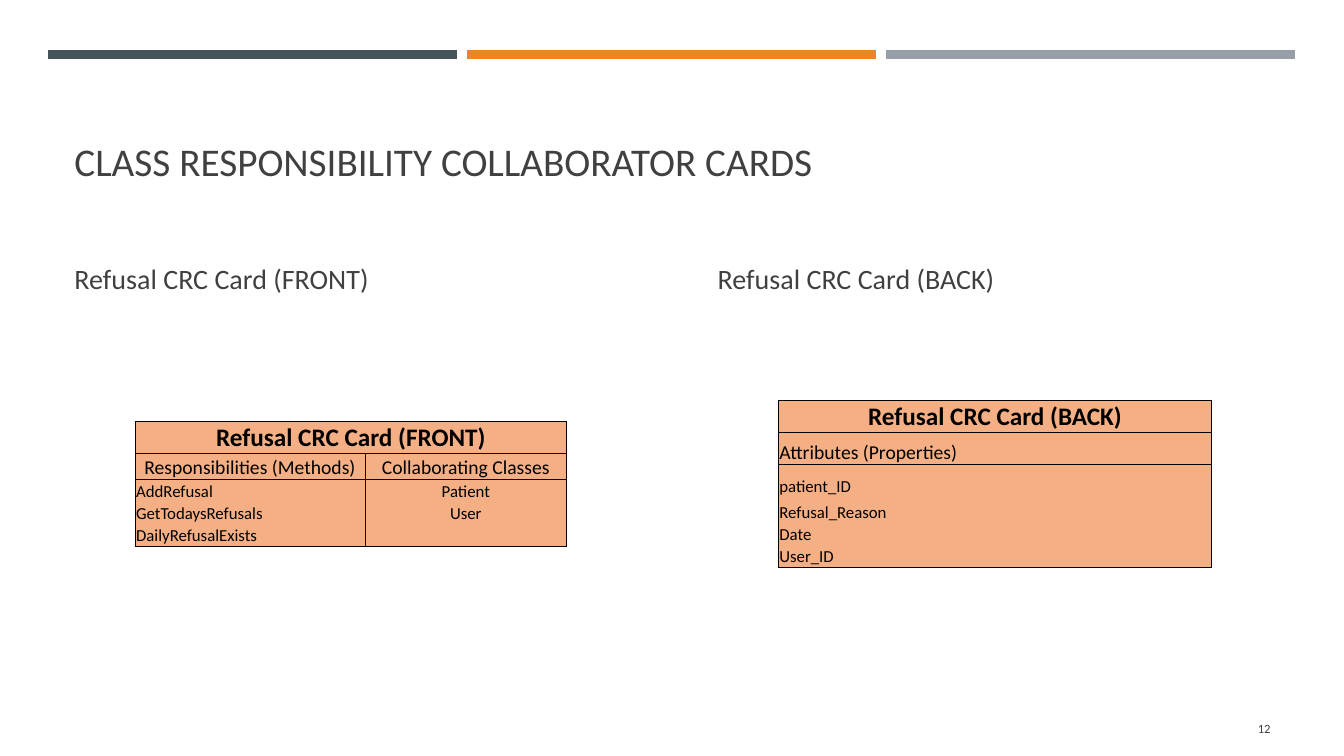
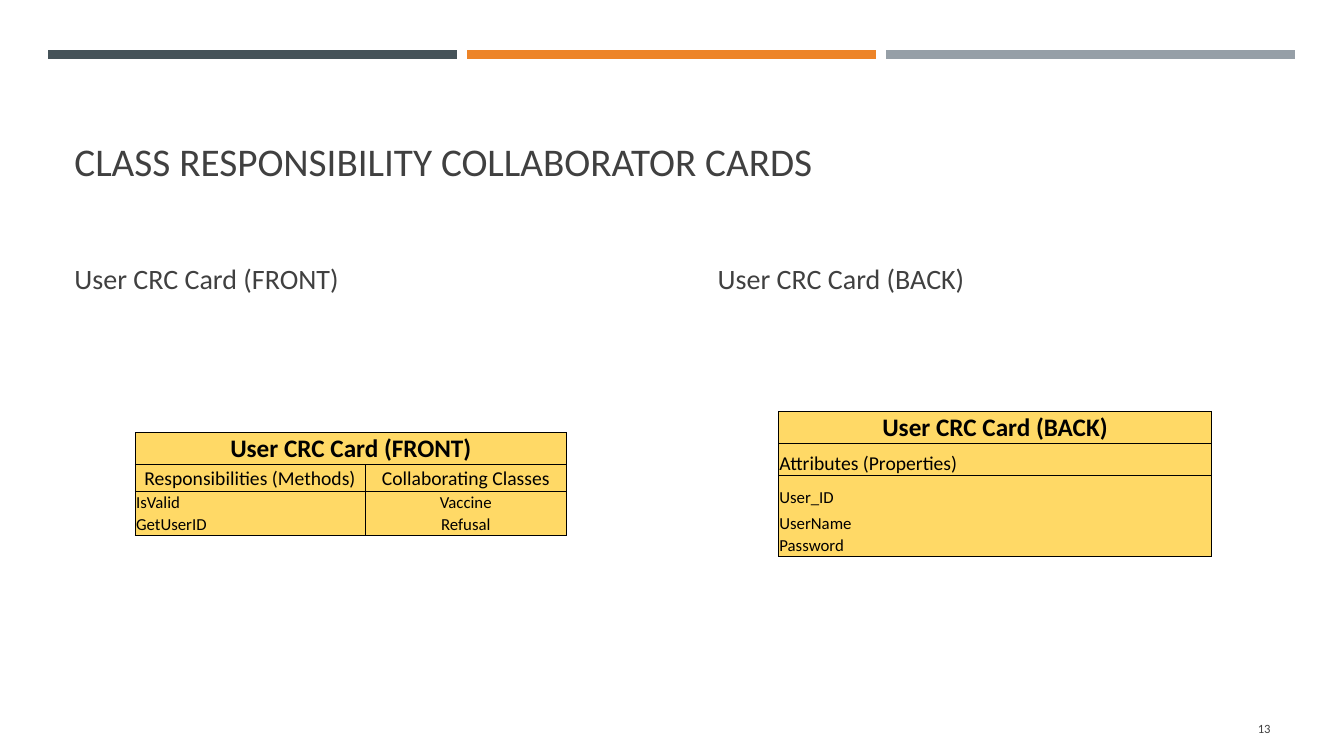
"""Build two slides of class responsibility collaborator cards."""
from lxml import etree
from pptx import Presentation, util as u
from pptx.dml.color import RGBColor
from pptx.enum import shapes, text
from pptx.oxml.ns import qn

COLORS = {
    "slate": "465359", "orange": "ED8428", "gray": "969FA7",
    "text": "404040", "black": "000000",
    "refusal": "F4B084", "user": "FFD966",
}
FONT = "Calibri"
TITLE = "CLASS RESPONSIBILITY COLLABORATOR CARDS"
LEFT, COLUMN_STEP = 0.64, 6.38
TABLE_INDENT, TABLE_MIDDLE = 0.7, 4.8
FRONT_COLS = [2.28, 2]
BACK_COLS = [0.67, 0.67, 0.95, 0.67, 0.67, 0.67]
FRONT_HEADS = [0.32, 0.26]
BACK_HEADS = [0.32, 0.32, 0.32, 0.26]
ROW_HEIGHT = 0.22

CARDS = [
    {"name": "Refusal", "fill": "refusal", "number": 12,
     "methods": [["AddRefusal", "Patient"], ["GetTodaysRefusals", "User"],
                 ["DailyRefusalExists", ""]],
     "attributes": [("patient_ID", 2), ("Refusal_Reason", 2), ("Date", 1), ("User_ID", 1)]},
    {"name": "User", "fill": "user", "number": 13,
     "methods": [["IsValid", "Vaccine"], ["GetUserID", "Refusal"]],
     "attributes": [("User_ID", 1), ("UserName", 2), ("Password", 2)]},
]


def rgb(name):
    return RGBColor.from_string(COLORS[name])


def style_paragraph(p, size, color, align, bold=False):
    p.alignment = align
    for r in p.runs:
        r.font.name = FONT
        r.font.size = u.Pt(size)
        r.font.bold = bold
        r.font.color.rgb = rgb(color)


def add_text(s, box, content, size, anchor=text.MSO_ANCHOR.MIDDLE, align=text.PP_ALIGN.LEFT):
    tf = s.shapes.add_textbox(*map(u.Inches, box)).text_frame
    tf.word_wrap = True
    tf.vertical_anchor = anchor
    tf.text = content
    style_paragraph(tf.paragraphs[0], size, "text", align)


def add_bands(s):
    width, step, y = 4.05, 4.155, 0.54
    for i, name in enumerate(("slate", "orange", "gray")):
        x = 0.48 + i * step
        line = s.shapes.add_connector(
            shapes.MSO_CONNECTOR.STRAIGHT, *map(u.Inches, (x, y, x + width, y)))
        line.line.color.rgb = rgb(name)
        line.line.width = u.Pt(6.5)
        etree.SubElement(line._element.spPr, qn("a:effectLst"))


def set_borders(cell, sides):
    tcPr = cell._tc.get_or_add_tcPr()
    for side in "LRTB":
        ln = etree.SubElement(tcPr, qn(f"a:ln{side}"), w=str(u.Pt(0.5)))
        if side in sides:
            fill = etree.SubElement(ln, qn("a:solidFill"))
            etree.SubElement(fill, qn("a:srgbClr"), val=COLORS["black"])
        else:
            etree.SubElement(ln, qn("a:noFill"))


def format_cell(cell, content, size, align, bold, sides, fill):
    cell.margin_left = cell.margin_right = cell.margin_top = u.Inches(0.01)
    cell.margin_bottom = 0
    cell.vertical_anchor = text.MSO_ANCHOR.BOTTOM
    p = cell.text_frame.paragraphs[0]
    if content:
        p.text = content
    style_paragraph(p, size, "black", align, bold)
    etree.SubElement(p._p, qn("a:endParaRPr"), sz=str(size * 100))
    set_borders(cell, sides)
    cell.fill.solid()
    cell.fill.fore_color.rgb = rgb(fill)


def body_sides(row, col, last_row, last_col, ruled):
    return "".join(side for side, shown in (
        ("L", ruled or col == 0), ("R", ruled or col == last_col),
        ("T", row == 2), ("B", row == last_row)) if shown)


def add_card(s, left, cols, heads, rows, spans, fill, front):
    heights = heads + [ROW_HEIGHT] * (len(rows) - len(heads))
    box = (left, TABLE_MIDDLE - sum(heights) / 2, sum(cols), sum(heights))
    table = s.shapes.add_table(len(rows), len(cols), *map(u.Inches, box)).table
    table.first_row = table.horz_banding = False
    for column, width in zip(table.columns, cols):
        column.width = u.Inches(width)
    for i, (values, span) in enumerate(zip(rows, spans)):
        table.rows[i].height = u.Inches(heights[i])
        for j in range(len(cols)):
            centered = i == 0 or front and (i == 1 or j == 1)
            align = text.PP_ALIGN.CENTER if centered else text.PP_ALIGN.LEFT
            sides = "LRTB" if i < 2 else body_sides(
                i, j, len(rows) - 1, len(cols) - 1, front)
            content = values[j] if j < len(values) else ""
            format_cell(table.cell(i, j), content, (18, 14, 12)[min(i, 2)],
                        align, i == 0, sides, fill)
        if span > 1:
            table.cell(i, 0).merge(table.cell(i, span - 1))


def add_front(s, left, heading, card):
    rows = [[heading], ["Responsibilities (Methods)", "Collaborating Classes"]]
    rows += card["methods"]
    spans = [2] + [1] * (len(rows) - 1)
    add_card(s, left, FRONT_COLS, FRONT_HEADS, rows, spans, card["fill"], True)


def add_back(s, left, heading, card):
    rows = [[heading], ["Attributes (Properties)"]]
    rows += [[name] for name, _ in card["attributes"]]
    spans = [len(BACK_COLS)] * 2 + [span for _, span in card["attributes"]]
    add_card(s, left, BACK_COLS, BACK_HEADS, rows, spans, card["fill"], False)


def add_slide(prs, card):
    s = prs.slides.add_slide(prs.slide_layouts[6])
    add_bands(s)
    add_text(s, (LEFT, 0.8, 12.06, 1.08), TITLE, 28, text.MSO_ANCHOR.BOTTOM)
    for i, (side, add_side) in enumerate((("FRONT", add_front), ("BACK", add_back))):
        left = LEFT + i * COLUMN_STEP
        heading = f"{card['name']} CRC Card ({side})"
        add_text(s, (left, 2.46, 5.68, 0.61), heading, 20)
        add_side(s, left + TABLE_INDENT, heading, card)
    add_text(s, (11.55, 7.03, 1.15, 0.4), str(card["number"]), 9, align=text.PP_ALIGN.RIGHT)


def main():
    prs = Presentation()
    prs.slide_width, prs.slide_height = u.Inches(13.33), u.Inches(7.5)
    for card in CARDS:
        add_slide(prs, card)
    prs.save("out.pptx")


if __name__ == "__main__":
    main()
